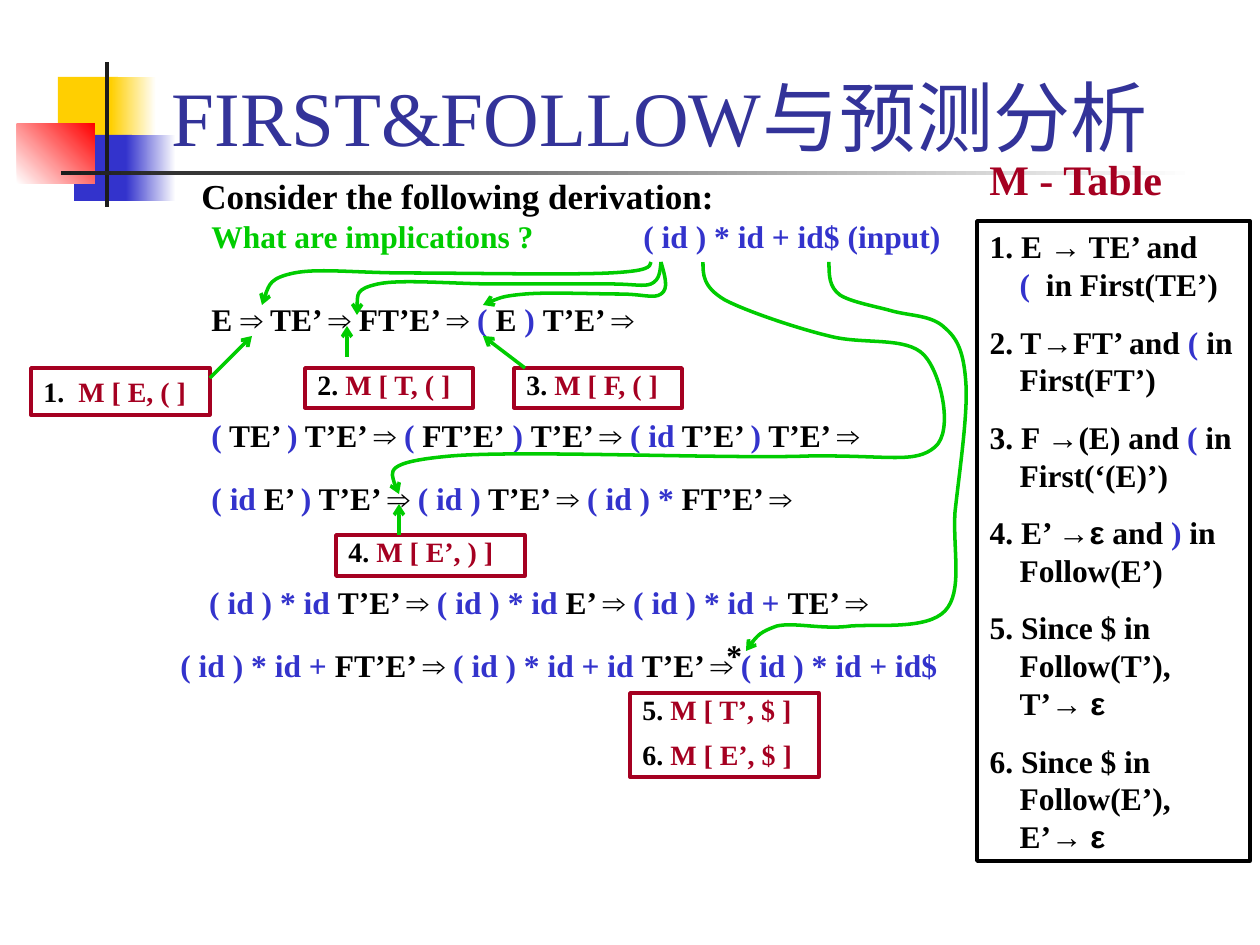
from itertools import groupby

from lxml import etree
from pptx import Presentation
from pptx.dml.color import RGBColor
from pptx.enum.shapes import MSO_CONNECTOR, MSO_SHAPE
from pptx.enum.text import MSO_ANCHOR, MSO_AUTO_SIZE, PP_ALIGN
from pptx.oxml.ns import qn
from pptx.util import Pt

RECTANGLE = MSO_SHAPE.RECTANGLE
STRAIGHT = MSO_CONNECTOR.STRAIGHT
TOP, BOTTOM = MSO_ANCHOR.TOP, MSO_ANCHOR.BOTTOM
LEFT = PP_ALIGN.LEFT
FIXED_SIZE = MSO_AUTO_SIZE.NONE

BLACK = RGBColor(0x00, 0x00, 0x00)
WHITE = RGBColor(0xFF, 0xFF, 0xFF)
BLUE = RGBColor(0x33, 0x33, 0xCC)
NAVY = RGBColor(0x33, 0x33, 0x99)
GREEN = RGBColor(0x00, 0xCC, 0x00)
CRIMSON = RGBColor(0xA5, 0x00, 0x21)
YELLOW = RGBColor(0xFF, 0xCF, 0x01)
RED = RGBColor(0xFF, 0x00, 0x00)
CHARCOAL = RGBColor(0x1C, 0x1C, 0x1C)

SCALE = 914400 / 126
SYMBOLS = "⇒→ε"
FRAME_FORMAT = {"word_wrap": True, "auto_size": FIXED_SIZE, "vertical_anchor": TOP}

DECORATIONS = [
    ((58, 77, 60, 66), [YELLOW], 0),
    ((111, 77, 45, 66), [YELLOW, WHITE], 0),
    ((74, 135, 58, 66), [BLUE], 0),
    ((126, 135, 50, 66), [BLUE, WHITE], 0),
    ((17, 124, 78, 60), [WHITE, RED], 45),
    ((105, 62, 4, 145), [CHARCOAL], 0),
    ((61, 171, 1134, 4), [CHARCOAL, WHITE], 0),
]
DERIVATIONS = [
    ((199, 294, 735, 50), "E ⇒ TE’ ⇒ FT’E’ ⇒ |( |E| ) |T’E’ ⇒"),
    ((199, 410, 777, 50),
     "|(| TE’ |)| T’E’ ⇒ |( |FT’E’| ) |T’E’ ⇒ |( id| T’E’ |)| T’E’ ⇒"),
    ((199, 473, 735, 50), "|( id| E’ |)| T’E’ ⇒ |( id )| T’E’ ⇒ |( id ) *| FT’E’ ⇒"),
    ((189, 577, 746, 50),
     " |( id ) * id |T’E’ ⇒ |( id ) * id |E’ ⇒ |( id ) * id + |TE’ ⇒"),
    ((168, 640, 809, 50),
     "|( id ) * id + |FT’E’ ⇒ |( id ) * id + id |T’E’ ⇒ |( id ) * id + id$"),
    ((714, 630, 73, 50), "*"),
]
LABELS = [
    ((31, 368, 179, 47), ["1.  |M [ E, ( ]"], 1.0),
    ((305, 368, 168, 40), ["2. |M [ T, ( ]"], 0.8),
    ((514, 368, 168, 40), ["3. |M [ F, ( ]"], 0.8),
    ((336, 535, 189, 41), ["4. |M [ E’, ) ]"], 0.8),
    ((630, 693, 189, 84), ["5. |M [ T’, $ ]", "6. |M [ E’, $ ]"], 0.8),
]
TABLE_RULES = [
    "1. E → TE’ and |(|  in First(TE’)",
    "2. T→FT’ and |(| in First(FT’)",
    "3. F →(E) and |(| in First(‘(E)’)",
    "4. E’ →ε and |) |in Follow(E’)",
    "5. Since $ in Follow(T’),\nT’→ ε",
    "6. Since $ in Follow(E’),\nE’→ ε",
]
ARROWS = [(210, 378, 252, 336), (347, 357, 347, 326),
          (525, 368, 483, 336), (399, 535, 399, 504)]
CURVES = [
    [(651, 262), (650, 267), (649, 271), (609, 273), (568, 275), (462, 273), (410, 273),
     (357, 273), (319, 268), (294, 273), (270, 278), (266, 291), (262, 305)],
    [(661, 262), (660, 271), (660, 280), (651, 284), (643, 287), (635, 284), (609, 284),
     (582, 284), (532, 284), (494, 284), (455, 284), (401, 279), (378, 284),
     (355, 289), (357, 302), (357, 315)],
    [(661, 262), (665, 276), (669, 289), (661, 294), (654, 299), (643, 294), (620, 294),
     (597, 294), (548, 292), (525, 294), (503, 296), (493, 300), (483, 305)],
    [(703, 262), (703, 275), (703, 287), (725, 300), (746, 311), (796, 328), (829, 336),
     (863, 345), (906, 336), (924, 355), (941, 373), (954, 431), (935, 447),
     (915, 464), (890, 455), (809, 456), (728, 459), (520, 450), (451, 456),
     (383, 462), (391, 478), (399, 494)],
    [(829, 262), (829, 275), (829, 287), (840, 295), (851, 302), (874, 306), (892, 311),
     (910, 316), (932, 315), (945, 328), (958, 339), (964, 353), (966, 384),
     (968, 415), (959, 475), (955, 513), (953, 551), (963, 592), (945, 611),
     (927, 630), (878, 624), (851, 626), (823, 630), (795, 622), (777, 626),
     (760, 632), (752, 641), (746, 651)],
]


def emu(*lengths):
    """Turn px lengths into a list of EMU."""
    return [round(length * SCALE) for length in lengths]


def apply_format(target, values):
    """Set each named attribute of the target."""
    for name, value in values.items():
        setattr(target, name, value)


def place(shape, box):
    """Move and size a shape to a px box."""
    apply_format(shape, dict(zip(("left", "top", "width", "height"), emu(*box))))


def set_line(shape, color):
    """Give a shape a two point outline."""
    shape.line.color.rgb = color
    shape.line.width = Pt(2)


def add_arrowhead(shape):
    """Put an open arrowhead at the end of a line."""
    outline = shape._element.spPr.find(qn("a:ln"))
    etree.SubElement(outline, qn("a:tailEnd"), type="arrow")


def add_runs(paragraph, text, size, colors, bold=True):
    """Write text whose colour alternates at each bar, with symbols in Arial."""
    for index, part in enumerate(text.split("|")):
        for kind, group in groupby(part, lambda char: "\n" if char == "\n" else char in SYMBOLS):
            if kind == "\n":
                paragraph.add_line_break()
                etree.SubElement(paragraph._p[-1], qn("a:rPr"), sz=str(size * 100))
                continue
            run = paragraph.add_run()
            run.text = "".join(group)
            apply_format(run.font, {"name": "Arial" if kind else "Times New Roman",
                                    "size": Pt(size), "bold": bold})
            run.font.color.rgb = colors[index % 2]


def write_lines(frame, lines, size, colors=(BLACK, BLUE), spacing=1.0):
    """Fill a text frame with one paragraph for each line."""
    apply_format(frame, FRAME_FORMAT)
    for index, line in enumerate(lines):
        paragraph = frame.add_paragraph() if index else frame.paragraphs[0]
        apply_format(paragraph, {"alignment": LEFT, "line_spacing": spacing,
                                 "space_before": Pt(size * 0.625)})
        add_runs(paragraph, line, size, colors)


def add_text(slide, box, text, size, colors=(BLACK, BLUE), spacing=1.0):
    """Add a text box of one line and return its paragraph."""
    frame = slide.shapes.add_textbox(*emu(*box)).text_frame
    write_lines(frame, [text], size, colors, spacing)
    return frame.paragraphs[0]


def add_label(slide, box, lines, spacing):
    """Add an outlined box naming table entries."""
    shape = slide.shapes.add_shape(RECTANGLE, *emu(*box))
    shape.shadow.inherit = False
    shape.fill.background()
    set_line(shape, CRIMSON)
    write_lines(shape.text_frame, lines, 16, (BLACK, CRIMSON), spacing)


def add_decoration(slide, box, colors, angle):
    """Add a plain or fading block without outline."""
    shape = slide.shapes.add_shape(RECTANGLE, *emu(*box))
    shape.shadow.inherit = False
    shape.line.fill.background()
    if len(colors) == 1:
        shape.fill.solid()
        shape.fill.fore_color.rgb = colors[0]
        return
    shape.fill.gradient()
    shape.fill.gradient_angle = angle
    for position, (stop, color) in enumerate(zip(shape.fill.gradient_stops, colors)):
        stop.position = position
        stop.color.rgb = color


def add_arrow(slide, ends):
    """Add a straight green arrow."""
    connector = slide.shapes.add_connector(STRAIGHT, *emu(*ends))
    set_line(connector, GREEN)
    add_arrowhead(connector)
    etree.SubElement(connector._element.spPr, qn("a:effectLst"))


def add_curve(slide, points):
    """Add a green arrow along cubic curves, three points to a curve."""
    builder = slide.shapes.build_freeform(*points[0], scale=SCALE)
    builder.add_line_segments(points[1:], close=False)
    shape = builder.convert_to_shape()
    outline = next(shape._element.iter(qn("a:path")))
    segments = list(outline)[1:]
    for start in range(0, len(segments), 3):
        curve = etree.SubElement(outline, qn("a:cubicBezTo"))
        for segment in segments[start:start + 3]:
            curve.append(segment[0])
            outline.remove(segment)
    shape.shadow.inherit = False
    shape.fill.background()
    set_line(shape, GREEN)
    add_arrowhead(shape)


def fill_title(slide):
    """Write the title and bring it in front of the decoration."""
    title = slide.shapes.title
    place(title, (159, 10, 1074, 158))
    apply_format(title.text_frame, {**FRAME_FORMAT, "vertical_anchor": BOTTOM})
    paragraph = title.text_frame.paragraphs[0]
    paragraph.alignment = LEFT
    add_runs(paragraph, "FIRST&FOLLOW与预测分析", 44, (NAVY,), bold=False)
    slide.shapes._spTree.append(title._element)


def fill_rules(slide):
    """Write the outlined list of table rules with hanging indents."""
    body = slide.placeholders[1]
    place(body, (977, 221, 273, 640))
    set_line(body, BLACK)
    write_lines(body.text_frame, TABLE_RULES, 18)
    indent = emu(30)[0]
    for paragraph in body.text_frame.paragraphs:
        properties = paragraph._p.get_or_add_pPr()
        properties.set("marL", str(indent))
        properties.set("indent", str(-indent))
        etree.SubElement(properties, qn("a:buNone"))


def add_question(slide):
    """Add the question and, at a tab stop, the input string."""
    paragraph = add_text(slide, (199, 221, 756, 39), "What are implications ?\t|( id ) * id + id$ (input)",
                         18, (GREEN, BLUE), 0.7)
    tabs = etree.SubElement(paragraph._p.get_or_add_pPr(), qn("a:tabLst"))
    etree.SubElement(tabs, qn("a:tab"), pos=str(emu(432)[0]), algn="l")


def main():
    """Build the slide and save it."""
    presentation = Presentation()
    apply_format(presentation, dict(zip(("slide_width", "slide_height"), emu(1260, 945))))
    slide = presentation.slides.add_slide(presentation.slide_layouts[1])
    for decoration in DECORATIONS:
        add_decoration(slide, *decoration)
    fill_title(slide)
    add_text(slide, (189, 168, 809, 55), "Consider the following derivation:", 20)
    for box, text in DERIVATIONS:
        add_text(slide, box, text, 18)
    add_question(slide)
    for label in LABELS:
        add_label(slide, *label)
    fill_rules(slide)
    for ends in ARROWS:
        add_arrow(slide, ends)
    for points in CURVES:
        add_curve(slide, points)
    add_text(slide, (977, 147, 221, 63), "M - Table", 24, (CRIMSON,))
    presentation.save("out.pptx")


if __name__ == "__main__":
    main()
